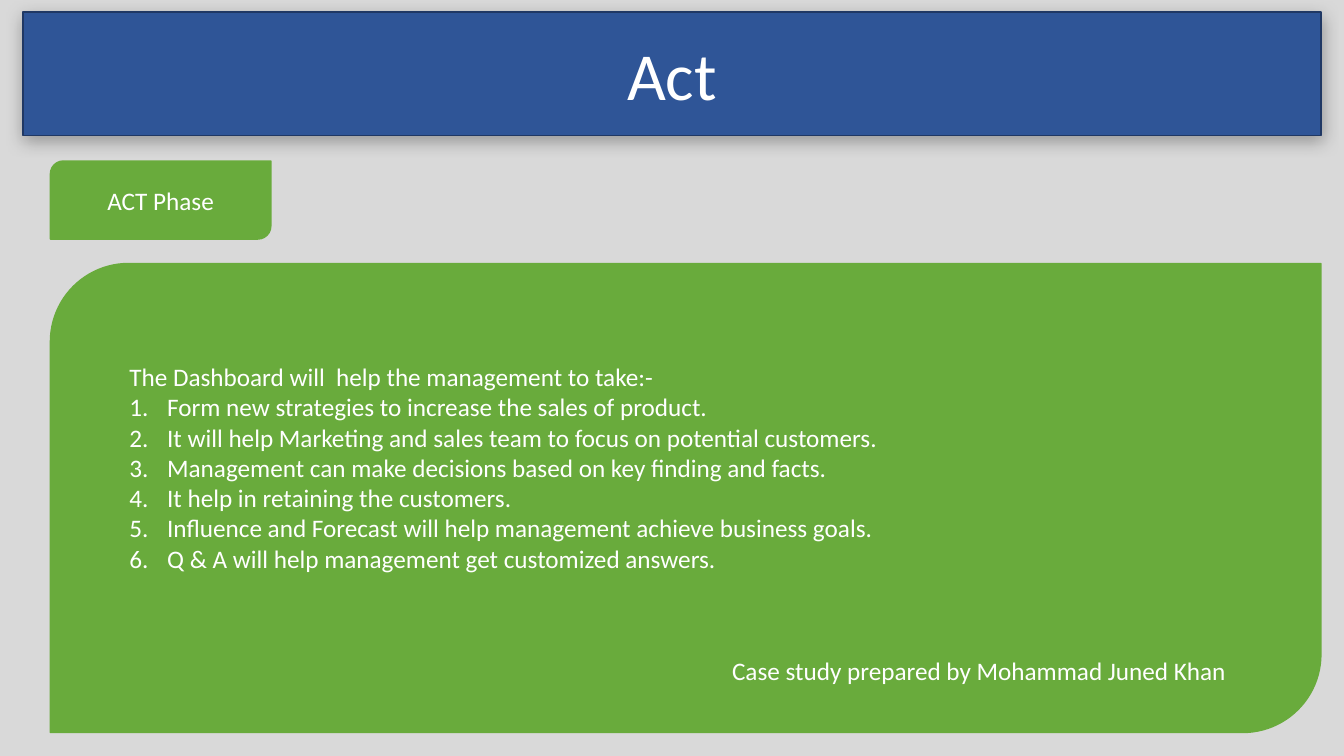
from dataclasses import dataclass

from lxml.etree import SubElement
from pptx import Presentation
from pptx.dml.color import RGBColor
from pptx.enum.shapes import MSO_SHAPE
from pptx.enum.text import MSO_ANCHOR, PP_ALIGN
from pptx.oxml.ns import qn
from pptx.util import Pt

HEADING = "Act"
PHASE = "ACT Phase"
INTRO = "The Dashboard will  help the management to take:-"
ACTIONS = [
    "Form new strategies to increase the sales of product.",
    "It will help Marketing and sales team to focus on potential customers.",
    "Management can make decisions based on key finding and facts.",
    "It help in retaining the customers.",
    "Influence and Forecast will help management achieve business goals.",
    "Q & A will help management get customized answers.",
]
CREDIT = "Case study prepared by Mohammad Juned Khan"


@dataclass(frozen=True)
class Theme:
    backdrop: str = "D9D9D9"
    banner: str = "2F5597"
    banner_edge: str = "203864"
    panel: str = "69AB3C"
    text: str = "FFFFFF"
    font: str = "Calibri"
    heading_size: int = 48
    body_size: int = 18


THEME = Theme()
WIDTH, HEIGHT = 960, 540
RIGHT = 943.5
PANEL_LEFT = 36
INDENT = 27
BANNER_BOX = (16.5, 8.5, RIGHT - 16.5, 88.5)
PHASE_BOX = (PANEL_LEFT, 115, 157.5, 55.75)
PANEL_BOX = (PANEL_LEFT, 188.25, RIGHT - PANEL_LEFT, 335)
ACTIONS_BOX = (73.5, 212.5, 606, 242.5)
CREDIT_BOX = (512.5, 444.5, RIGHT - 512.5, 68.5)


def paint(shape, fill, edge):
    shape.fill.solid()
    shape.fill.fore_color.rgb = RGBColor.from_string(fill)
    shape.line.color.rgb = RGBColor.from_string(edge)
    shape.line.width = Pt(1)


def write(shape, lines, align, size=THEME.body_size):
    frame = shape.text_frame
    frame.text = "\n".join(lines)
    frame.word_wrap = True
    frame.vertical_anchor = MSO_ANCHOR.MIDDLE
    for paragraph in frame.paragraphs:
        paragraph.alignment = align
        for run in paragraph.runs:
            run.font.name = THEME.font
            run.font.size = Pt(size)
            run.font.color.rgb = RGBColor.from_string(THEME.text)


def add_panel(slide, box, filled=True):
    panel = slide.shapes.add_shape(MSO_SHAPE.ROUND_2_DIAG_RECTANGLE, *map(Pt, box))
    panel.shadow.inherit = False
    if filled:
        paint(panel, THEME.panel, THEME.panel)
    else:
        panel.fill.background()
        panel.line.fill.background()
    return panel


def add_banner(slide):
    banner = slide.shapes.title
    banner.left, banner.top, banner.width, banner.height = map(Pt, BANNER_BOX)
    properties = banner.element.spPr
    geometry = SubElement(properties, qn("a:prstGeom"), prst="roundRect")
    SubElement(geometry, qn("a:avLst"))
    paint(banner, THEME.banner, THEME.banner_edge)
    effects = SubElement(properties, qn("a:effectLst"))
    shadow = SubElement(effects, qn("a:outerShdw"), blurRad=str(Pt(12)),
                        dist=str(Pt(3)), dir="5400000", algn="ctr", rotWithShape="0")
    shade = SubElement(shadow, qn("a:srgbClr"), val="000000")
    SubElement(shade, qn("a:alpha"), val="30000")
    write(banner, [HEADING], PP_ALIGN.CENTER, THEME.heading_size)


def number(paragraph):
    properties = paragraph._p.get_or_add_pPr()
    properties.set("marL", str(Pt(INDENT)))
    properties.set("indent", str(-Pt(INDENT)))
    SubElement(properties, qn("a:buFont"), typeface="+mj-lt")
    SubElement(properties, qn("a:buAutoNum"), type="arabicPeriod")


def main():
    deck = Presentation()
    deck.slide_width, deck.slide_height = Pt(WIDTH), Pt(HEIGHT)
    slide = deck.slides.add_slide(deck.slide_layouts[5])
    slide.background.fill.solid()
    slide.background.fill.fore_color.rgb = RGBColor.from_string(THEME.backdrop)

    add_banner(slide)
    write(add_panel(slide, PHASE_BOX), [PHASE], PP_ALIGN.CENTER)
    add_panel(slide, PANEL_BOX)
    actions = add_panel(slide, ACTIONS_BOX, filled=False)
    write(actions, [INTRO, *ACTIONS], PP_ALIGN.LEFT)
    for paragraph in actions.text_frame.paragraphs[1:]:
        number(paragraph)
    write(add_panel(slide, CREDIT_BOX, filled=False), [CREDIT], PP_ALIGN.LEFT)

    deck.save("out.pptx")


if __name__ == "__main__":
    main()
